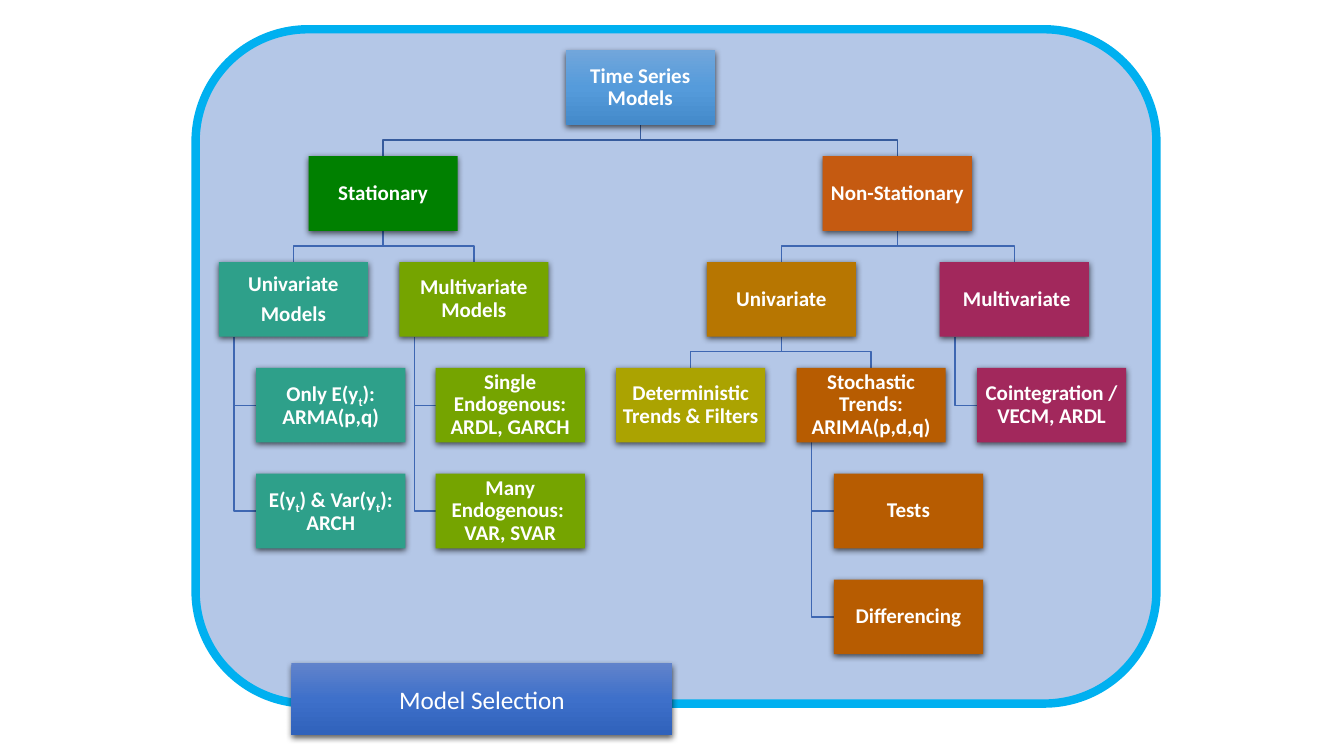
from copy import deepcopy

from lxml import etree
from pptx import Presentation
from pptx import util as u
from pptx.dml.color import RGBColor
from pptx.enum import shapes, text
from pptx.oxml import ns

PX = 9144
BOX_W, BOX_H = 148, 74
ROW_TOP, ROW_STEP = 50, 105
STEM = 15

COLORS = {
    "panel": "B4C7E7", "border": "00B0F0", "white": "FFFFFF", "shadow": "000000",
    "trunk": "365B9D", "branch": "3E67B2",
    "green": "008000", "teal": "2EA08A", "lime": "75A400",
    "rust": "C55A11", "ochre": "B77601", "olive": "ABA301",
    "brown": "B75C01", "plum": "A2285C",
}
GRADIENTS = {
    "sky": ("71A6DB", "559BDB", "448ACA"),
    "royal": ("6183CB", "3E70CA", "3062BB"),
}

# name: (caption, left, row, fill); underscores enclose a subscript
MODELS = {
    "root": ("Time Series Models", 561, 0, "sky"),
    "stationary": ("Stationary", 306, 1, "green"),
    "uni_models": ("Univariate\nModels", 217, 2, "teal"),
    "arma": ("Only E(y_t_): ARMA(p,q)", 254, 3, "teal"),
    "arch": ("E(y_t_) & Var(y_t_): ARCH", 254, 4, "teal"),
    "multi_models": ("Multivariate Models", 396, 2, "lime"),
    "single": ("Single Endogenous: ARDL, GARCH", 432, 3, "lime"),
    "many": ("Many Endogenous: \vVAR, SVAR", 432, 4, "lime"),
    "non_stationary": ("Non-Stationary", 816, 1, "rust"),
    "univariate": ("Univariate", 701, 2, "ochre"),
    "deterministic": ("Deterministic Trends & Filters", 611, 3, "olive"),
    "stochastic": ("Stochastic Trends: ARIMA(p,d,q)", 790, 3, "brown"),
    "tests": ("Tests", 827, 4, "brown"),
    "differencing": ("Differencing", 827, 5, "brown"),
    "multivariate": (" Multivariate", 932, 2, "plum"),
    "cointegration": ("Cointegration / VECM, ARDL", 969, 3, "plum"),
}
FORKS = {
    "root": ("stationary", "non_stationary"),
    "stationary": ("uni_models", "multi_models"),
    "non_stationary": ("univariate", "multivariate"),
    "univariate": ("deterministic", "stochastic"),
}
LISTS = {
    "uni_models": ("arma", "arch"),
    "multi_models": ("single", "many"),
    "stochastic": ("tests", "differencing"),
    "multivariate": ("cointegration",),
}


def rgb(name):
    return RGBColor.from_string(COLORS[name])


def px(*lengths):
    return [length * PX for length in lengths]


def corner(model):
    _, left, row, _ = MODELS[model]
    return left, ROW_TOP + row * ROW_STEP


def paint(shape, fill):
    if fill in COLORS:
        shape.fill.solid()
        shape.fill.fore_color.rgb = rgb(fill)
        return
    shape.fill.gradient()
    shape.fill.gradient_angle = 270
    stop_list = shape._element.spPr.find(".//" + ns.qn("a:gsLst"))
    stop_list.append(deepcopy(stop_list[0]))
    for stop, position, color in zip(shape.fill.gradient_stops, (0, 0.5, 1), GRADIENTS[fill]):
        stop.position = position
        stop.color.rgb = RGBColor.from_string(color)


def cast_shadow(shape):
    shape.shadow.inherit = False
    effects = shape._element.spPr.find(ns.qn("a:effectLst"))
    shadow = etree.SubElement(effects, ns.qn("a:outerShdw"), blurRad="57150", dist="19050",
                              dir="5400000", algn="ctr", rotWithShape="0")
    color = etree.SubElement(shadow, ns.qn("a:srgbClr"), val=COLORS["shadow"])
    etree.SubElement(color, ns.qn("a:alpha"), val="63000")


def write_caption(frame, caption, size, bold):
    frame.word_wrap = True
    frame.vertical_anchor = text.MSO_ANCHOR.MIDDLE
    frame.text = caption
    for paragraph in frame.paragraphs:
        paragraph.alignment = text.PP_ALIGN.CENTER
        first, *rest = paragraph.text.split("_")
        if rest:
            paragraph.text = first
        for index, piece in enumerate(rest):
            run = paragraph.add_run()
            run.text = piece
            if index % 2 == 0:
                run._r.get_or_add_rPr().set("baseline", "-25000")
        for run in paragraph.runs:
            run.font.name = "Calibri"
            run.font.size = u.Pt(size)
            run.font.bold = bold
            run.font.color.rgb = rgb("white")


def add_box(slide, bounds, caption, fill, size, bold):
    box = slide.shapes.add_shape(shapes.MSO_SHAPE.RECTANGLE, *px(*bounds))
    paint(box, fill)
    box.line.fill.background()
    cast_shadow(box)
    write_caption(box.text_frame, caption, size, bold)
    return box.text_frame


def add_model(slide, model):
    caption, _, _, fill = MODELS[model]
    frame = add_box(slide, (*corner(model), BOX_W, BOX_H), caption, fill, 15, True)
    frame.margin_left = frame.margin_right = frame.margin_top = frame.margin_bottom = PX
    for paragraph in frame.paragraphs:
        paragraph.line_spacing = 0.9
        paragraph.space_after = u.Pt(5.25)


def add_branch(slide, points, color):
    builder = slide.shapes.build_freeform(*points[0], scale=PX)
    builder.add_line_segments(points[1:], close=False)
    branch = builder.convert_to_shape()
    branch.fill.background()
    branch.line.color.rgb = rgb(color)
    branch.line.width = u.Pt(1)
    branch.shadow.inherit = False


def add_fork(slide, parent, child):
    left, top = corner(parent)
    child_left, child_top = corner(child)
    start, end = left + BOX_W // 2, child_left + BOX_W // 2
    bottom = top + BOX_H
    points = [(start, bottom), (start, bottom + STEM), (end, bottom + STEM), (end, child_top)]
    add_branch(slide, points, "trunk" if parent == "root" else "branch")


def add_list_branch(slide, parent, child):
    left, top = corner(parent)
    child_left, child_top = corner(child)
    spine, middle = left + STEM, child_top + BOX_H // 2
    add_branch(slide, [(spine, top + BOX_H), (spine, middle), (child_left, middle)], "branch")


def add_panel(slide):
    panel = slide.shapes.add_shape(shapes.MSO_SHAPE.ROUNDED_RECTANGLE, *px(194, 29, 953, 669))
    paint(panel, "panel")
    panel.line.color.rgb = rgb("border")
    panel.line.width = u.Pt(6)
    panel.shadow.inherit = False


def main():
    deck = Presentation()
    deck.slide_width, deck.slide_height = px(1333, 750)
    slide = deck.slides.add_slide(deck.slide_layouts[6])
    add_panel(slide)
    for links, draw in ((FORKS, add_fork), (LISTS, add_list_branch)):
        for parent, children in links.items():
            for child in children:
                draw(slide, parent, child)
    for model in MODELS:
        add_model(slide, model)
    add_box(slide, (289, 658, 378, 71), "Model Selection", "royal", 18, False)
    deck.save("out.pptx")


if __name__ == "__main__":
    main()
